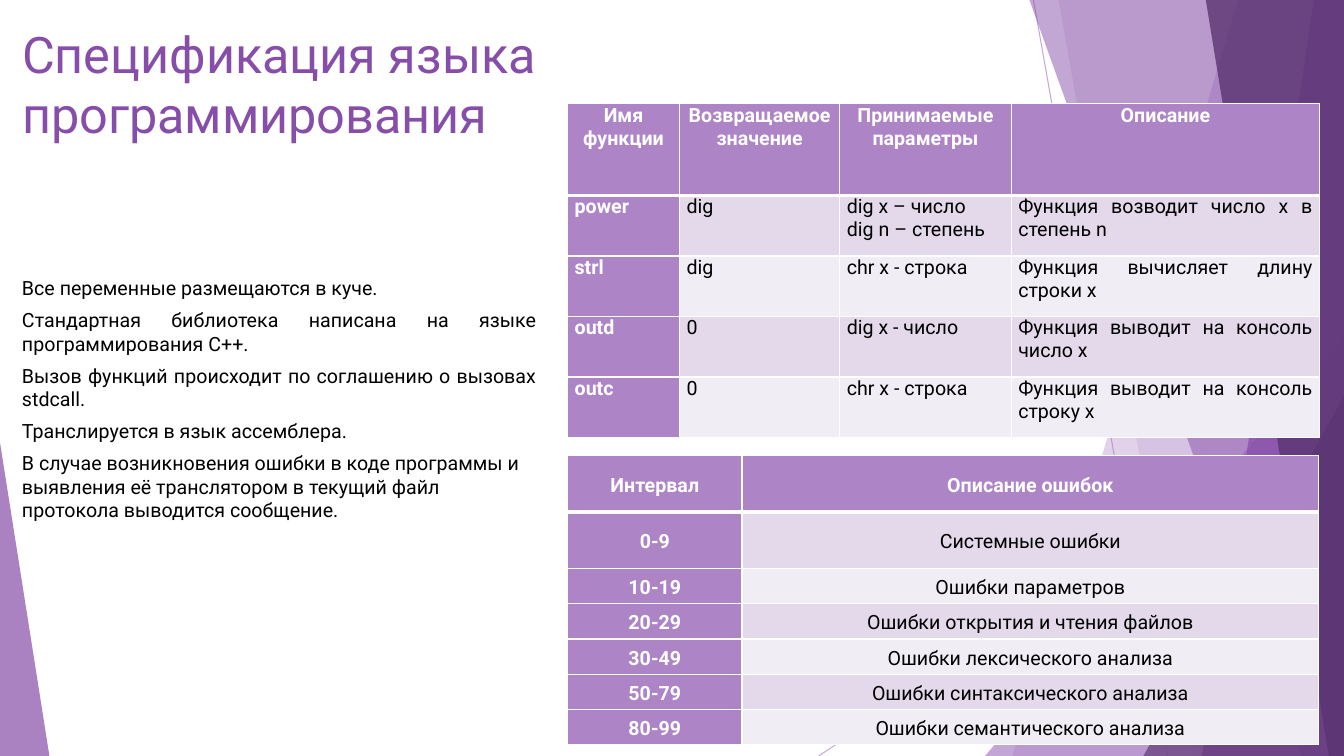
from lxml import etree
from pptx import Presentation
from pptx.dml.color import RGBColor
from pptx.enum.shapes import MSO_CONNECTOR, MSO_SHAPE
from pptx.enum.text import MSO_ANCHOR, PP_ALIGN
from pptx.oxml import parse_xml
from pptx.oxml.ns import nsdecls, qn
from pptx.util import Inches, Pt

LINE = MSO_CONNECTOR.STRAIGHT
TRIANGLE = MSO_SHAPE.ISOSCELES_TRIANGLE
TOP, MIDDLE = MSO_ANCHOR.TOP, MSO_ANCHOR.MIDDLE
LEFT, CENTER, JUSTIFY = PP_ALIGN.LEFT, PP_ALIGN.CENTER, PP_ALIGN.JUSTIFY
FONT = "Roboto"
LILAC, PURPLE, DARK = "AD84C6", "874EA9", "5A3471"
WHITE, BLACK = "FFFFFF", "000000"
BANDS = ["F1EDF5", "E3D9EA"]
RIGHT, BOTTOM = 13.33, 7.5


def paint(target, color, alpha=100):
    """Give a fill, line or font a solid colour with an opacity in percent."""
    if hasattr(target, "solid"):
        target.solid()
        place = target.fore_color
    else:
        place = target.color
    place.rgb = RGBColor.from_string(color)
    if alpha < 100:
        # The colour element is reached through the shape that owns the fill.
        return f'<a:alpha {nsdecls("a")} val="{alpha * 1000}"/>'


def style(para, size, color, align=LEFT, bold=False):
    para.alignment = align
    para.font.name = FONT
    para.font.size = Pt(size)
    para.font.bold = bold
    paint(para.font, color)


deck = Presentation()
deck.slide_width, deck.slide_height = Inches(RIGHT), Inches(BOTTOM)
slide = deck.slides.add_slide(deck.slide_layouts[6])
shapes = slide.shapes

# Backdrop: thin lines, then translucent facets from back to front
for x1, y1, x2, y2 in [(10.25, 0, 11.58, BOTTOM), (RIGHT, 4.03, 8.12, BOTTOM)]:
    line = shapes.add_connector(LINE, Inches(x1), Inches(y1), Inches(x2), Inches(y2))
    line.line.width = Pt(0.75)
    alpha = paint(line.line, LILAC, 70)
    line._element.find(".//" + qn("a:srgbClr")).append(parse_xml(alpha))
    etree.SubElement(line._element.spPr, qn("a:effectLst"))

# A band gives the left edge at top and bottom; a triangle its box and apex
facets = [
    ("band", (12.28, 10.04), LILAC, 36),
    ("band", (10.5, 11.83), LILAC, 20),
    ("triangle", (9.77, 3.33, 3.56, 4.17, 1), LILAC, 72),
    ("band", (10.21, 12.91), PURPLE, 50),
    ("band", (13.03, 11.92), PURPLE, 70),
    ("band", (11.96, 13.18), DARK, 80),
    ("triangle", (11.34, 3.93, 1.99, 3.57, 1), DARK, 66),
    ("triangle", (0, 4.39, 0.49, 3.11, 0), PURPLE, 70),
]
for kind, size, color, opacity in facets:
    if kind == "band":
        upper, lower = size
        path = shapes.build_freeform(Inches(upper), 0)
        corners = [(RIGHT, 0), (RIGHT, BOTTOM), (lower, BOTTOM)]
        path.add_line_segments([(Inches(x), Inches(y)) for x, y in corners])
        facet = path.convert_to_shape()
    else:
        *box, apex = size
        facet = shapes.add_shape(TRIANGLE, *map(Inches, box))
        facet.adjustments[0] = apex
    facet.shadow.inherit = False
    facet.line.fill.background()
    alpha = paint(facet.fill, color, opacity)
    facet._element.spPr.find(".//" + qn("a:srgbClr")).append(parse_xml(alpha))

# Title and body text
title = "Спецификация языка программирования"
body = [
    "Все переменные размещаются в куче.",
    "Стандартная библиотека написана на языке программирования C++.",
    "Вызов функций происходит по соглашению о вызовах stdcall.",
    "Транслируется в язык ассемблера.",
    "В случае возникновения ошибки в коде программы и выявления её "
    "транслятором в текущий файл протокола выводится сообщение.",
]
texts = [
    ((0.12, 0.18, 9.95, 0.97), [title], 36, PURPLE, 0),
    ((0.12, 2.69, 5.3, 2.56), body, 14, BLACK, 6),
]
for box, lines, size, color, gap in texts:
    frame = shapes.add_textbox(*map(Inches, box)).text_frame
    frame.word_wrap = True
    frame.text = "\n".join(lines)
    for para in frame.paragraphs:
        style(para, size, color, JUSTIFY)
        para.space_after = Pt(gap)
    frame.paragraphs[-1].alignment = LEFT

# Tables: top, column widths, row heights, anchor, body alignment, spacing, rows
functions = [
    ["Имя функции", "Возвращаемое значение", "Принимаемые параметры", "Описание"],
    ["power", "dig", "dig x – число\ndig n – степень", "Функция возводит число x в степень n"],
    ["strl", "dig", "chr x - строка", "Функция вычисляет длину строки x"],
    ["outd", "0", "dig x - число", "Функция выводит на консоль число x"],
    ["outc", "0", "chr x - строка", "Функция выводит на консоль строку x"],
]
errors = [
    ["Интервал", "Описание ошибок"],
    ["0-9", "Системные ошибки"],
    ["10-19", "Ошибки параметров"],
    ["20-29", "Ошибки открытия и чтения файлов"],
    ["30-49", "Ошибки лексического анализа"],
    ["50-79", "Ошибки синтаксического анализа"],
    ["80-99", "Ошибки семантического анализа"],
]
tables = [
    (1.03, [1.11, 1.59, 1.7, 3.06], [0.91] + [0.6] * 4, TOP, JUSTIFY, 1, functions),
    (4.52, [1.73, 5.72], [0.56] * 2 + [0.35] * 5, MIDDLE, CENTER, 1.15, errors),
]
for top, widths, heights, anchor, align, spacing, rows in tables:
    box = map(Inches, (5.63, top, sum(widths), sum(heights)))
    table = shapes.add_table(len(rows), len(widths), *box).table
    for column, width in zip(table.columns, widths):
        column.width = Inches(width)
    for r, row in enumerate(rows):
        table.rows[r].height = Inches(heights[r])
        for c, text in enumerate(row):
            cell = table.cell(r, c)
            head = r == 0 or c == 0
            cell.text = text
            cell.vertical_anchor = anchor
            cell.margin_left = cell.margin_right = Inches(0.07)
            cell.margin_top = cell.margin_bottom = 0
            for para in cell.text_frame.paragraphs:
                style(para, 14, WHITE if head else BLACK, align if r else CENTER, head)
                para.line_spacing = spacing
            for side in "LRTB":
                thick = (r, side) in [(0, "B"), (1, "T")]
                cell._tc.get_or_add_tcPr().append(parse_xml(
                    f'<a:ln{side} {nsdecls("a")} w="{Pt(3 if thick else 1)}"><a:solidFill>'
                    f'<a:srgbClr val="{WHITE}"/></a:solidFill></a:ln{side}>'))
            paint(cell.fill, LILAC if head else BANDS[r % 2])

deck.save("out.pptx")
